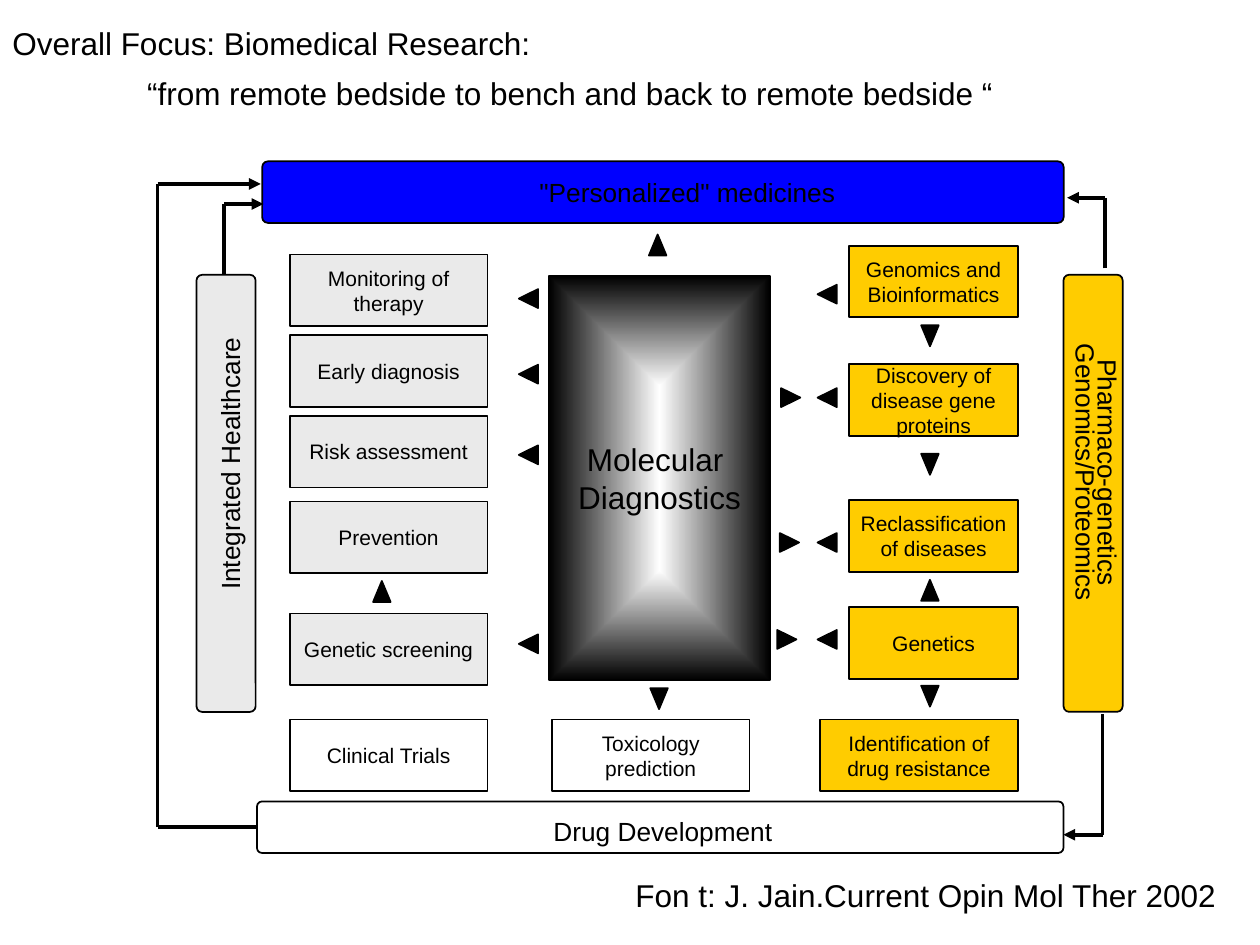
from itertools import pairwise

from lxml.etree import SubElement
from pptx import Presentation
from pptx.dml.color import RGBColor
from pptx.enum.shapes import MSO_CONNECTOR, MSO_SHAPE
from pptx.enum.text import MSO_ANCHOR, PP_ALIGN
from pptx.oxml import parse_xml
from pptx.oxml.ns import qn
from pptx.util import Pt

BLACK, WHITE, GREY, GOLD, BLUE = "000000", "FFFFFF", "EAEAEA", "FFCC00", "0000FF"

TITLE = ["Overall Focus: Biomedical Research:",
         "“from remote bedside to bench and back to remote bedside “"]
SOURCE = "Fon t: J. Jain.Current Opin Mol Ther 2002"

# lines, (left, top, width, height), fill, rotation, text format
BARS = [
    (['"Personalized" medicines'], (149.8, 92.2, 458, 35.2), BLUE, 0, {"left": 28}),
    (["Drug Development"], (146.9, 458, 460.8, 29.4), None, 0, {"left": 3, "top": 4}),
    (["Integrated Healthcare"], (4.3, 265, 249.8, 33.8), GREY, 270,
     {"left": 34, "top": 4}),
    (["Pharmaco-genetics", "Genomics/Proteomics"], (499.7, 265, 249.8, 33.8), GOLD, 90,
     {"right": 24, "spacing": 0.7}),
]

BOX_H = 41
# left, width, fill, [(top, text)]
COLUMNS = [
    (165.6, 113, GREY, [(145.4, "Monitoring of therapy"), (191.5, "Early diagnosis"),
                        (237.6, "Risk assessment"), (286.6, "Prevention"),
                        (350.6, "Genetic screening")]),
    (485.3, 96.5, GOLD, [(140.4, "Genomics and Bioinformatics"),
                         (208.1, "Discovery of disease gene proteins"),
                         (285.8, "Reclassification of diseases"), (347, "Genetics")]),
    (165.6, 113, WHITE, [(411.1, "Clinical Trials")]),
    (315.4, 113, WHITE, [(411.1, "Toxicology prediction")]),
    (468.7, 113, GOLD, [(411.1, "Identification of drug resistance")]),
]

CORE = (["Molecular ", "Diagnostics"], (313.9, 157.7, 126, 231.1))

# rotation: centres of the triangles pointing that way
UP, RIGHT, DOWN, LEFT = 0, 90, 180, 270
MARKERS = {
    UP: [(218.2, 338), (531.4, 337.3), (375.8, 140)],
    DOWN: [(531.4, 191.9), (531.4, 265.3), (531.4, 397.8), (376.6, 399.2)],
    LEFT: [(302, 170.6), (302, 213.8), (302, 259.9), (302, 367.9),
           (472.7, 168.1), (472.7, 227.2), (472.7, 310), (472.7, 365.4)],
    RIGHT: [(451.8, 227.2), (451.1, 310), (449.6, 365.4)],
}

DRUG_ROUTE = [(146.9, 472.7), (90, 472.7), (90, 105.1), (149, 105.1)]
ROUTES = [
    [(128.2, 156.5), (128.2, 116.6), (150.5, 116.6)],
    [(630, 408.2), (630, 477), (607.7, 477)],
    [(631.4, 153.4), (631.4, 113), (609.8, 113)],
]

prs = Presentation()
prs.slide_width, prs.slide_height = Pt(720), Pt(540)
s = prs.slides.add_slide(prs.slide_layouts[6])


def rgb(color):
    return RGBColor.from_string(color)


def set_text(sp, lines, size=18, align=PP_ALIGN.CENTER, anchor=MSO_ANCHOR.MIDDLE,
             left=0, top=0, right=0, bottom=0, spacing=None):
    tf = sp.text_frame
    tf.word_wrap = True
    tf.vertical_anchor = anchor
    tf.margin_left, tf.margin_top = Pt(left), Pt(top)
    tf.margin_right, tf.margin_bottom = Pt(right), Pt(bottom)
    for i, line in enumerate(lines):
        p = tf.paragraphs[0] if i == 0 else tf.add_paragraph()
        p.alignment = align
        if spacing:
            p.line_spacing = spacing
        r = p.add_run()
        r.text = line
        r.font.name, r.font.size = "Arial", Pt(size)
        r.font.color.rgb = rgb(BLACK)
    return tf


def add_text(lines, box, **fmt):
    return set_text(s.shapes.add_textbox(*map(Pt, box)), lines, **fmt)


def add_shape(kind, box, fill, rotation=0):
    sp = s.shapes.add_shape(kind, *map(Pt, box))
    sp.shadow.inherit = False
    sp.rotation = rotation
    if fill:
        sp.fill.solid()
        sp.fill.fore_color.rgb = rgb(fill)
    else:
        sp.fill.background()
    sp.line.color.rgb = rgb(BLACK)
    sp.line.width = Pt(1)
    return sp


def add_box(lines, box, fill, size=12):
    sp = add_shape(MSO_SHAPE.RECTANGLE, box, fill)
    set_text(sp, lines, size=size, left=5.76, right=5.76, top=2.88, bottom=2.88)
    return sp


def glow_from_centre(sp, inner, outer):
    """Replace the solid fill by a rectangular gradient."""
    stops = "".join(f'<a:gs pos="{pos}"><a:srgbClr val="{color}"/></a:gs>'
                    for pos, color in ((0, inner), (100000, outer)))
    grad = parse_xml(
        '<a:gradFill xmlns:a="http://schemas.openxmlformats.org/drawingml/2006/main">'
        f'<a:gsLst>{stops}</a:gsLst><a:path path="rect">'
        '<a:fillToRect l="50000" t="50000" r="50000" b="50000"/></a:path></a:gradFill>')
    solid = sp.element.spPr.find(qn("a:solidFill"))
    solid.getparent().replace(solid, grad)


def add_route(points):
    """Draw straight legs through the points, with an arrowhead on the last."""
    legs = []
    for start, end in pairwise(points):
        c = s.shapes.add_connector(MSO_CONNECTOR.STRAIGHT, *map(Pt, start + end))
        c.line.color.rgb = rgb(BLACK)
        c.line.width = Pt(2.25)
        SubElement(c.element.spPr, qn("a:effectLst"))
        legs.append(c)
    SubElement(legs[-1].line._get_or_add_ln(), qn("a:tailEnd"), type="triangle")
    return legs


tf = add_text(TITLE, (0, 0, 720, 78), align=PP_ALIGN.LEFT, left=7.2, right=7.2)
quote = tf.paragraphs[1]
quote.space_before = Pt(6.8)
quote._p.get_or_add_pPr().set("marL", str(Pt(77)))
add_text([SOURCE], (340, 482, 378, 41), anchor=MSO_ANCHOR.BOTTOM, spacing=0.95)

bars = []
for lines, box, fill, rotation, fmt in BARS:
    bar = add_shape(MSO_SHAPE.ROUNDED_RECTANGLE, box, fill, rotation)
    bar.adjustments[0] = 0.095
    set_text(bar, lines, size=15, **fmt)
    bars.append(bar)

for x, width, fill, boxes in COLUMNS:
    for y, label in boxes:
        add_box([label], (x, y, width, BOX_H), fill)

glow_from_centre(add_box(*CORE, WHITE, size=18), WHITE, BLACK)

for rotation, centres in MARKERS.items():
    w, h = (10, 12) if rotation in (UP, DOWN) else (10.8, 11)
    for x, y in centres:
        add_shape(MSO_SHAPE.FLOWCHART_EXTRACT, (x - w / 2, y - h / 2, w, h),
                  BLACK, rotation)

add_route(DRUG_ROUTE)[0].begin_connect(bars[1], 1)
for route in ROUTES:
    add_route(route)

prs.save("out.pptx")
